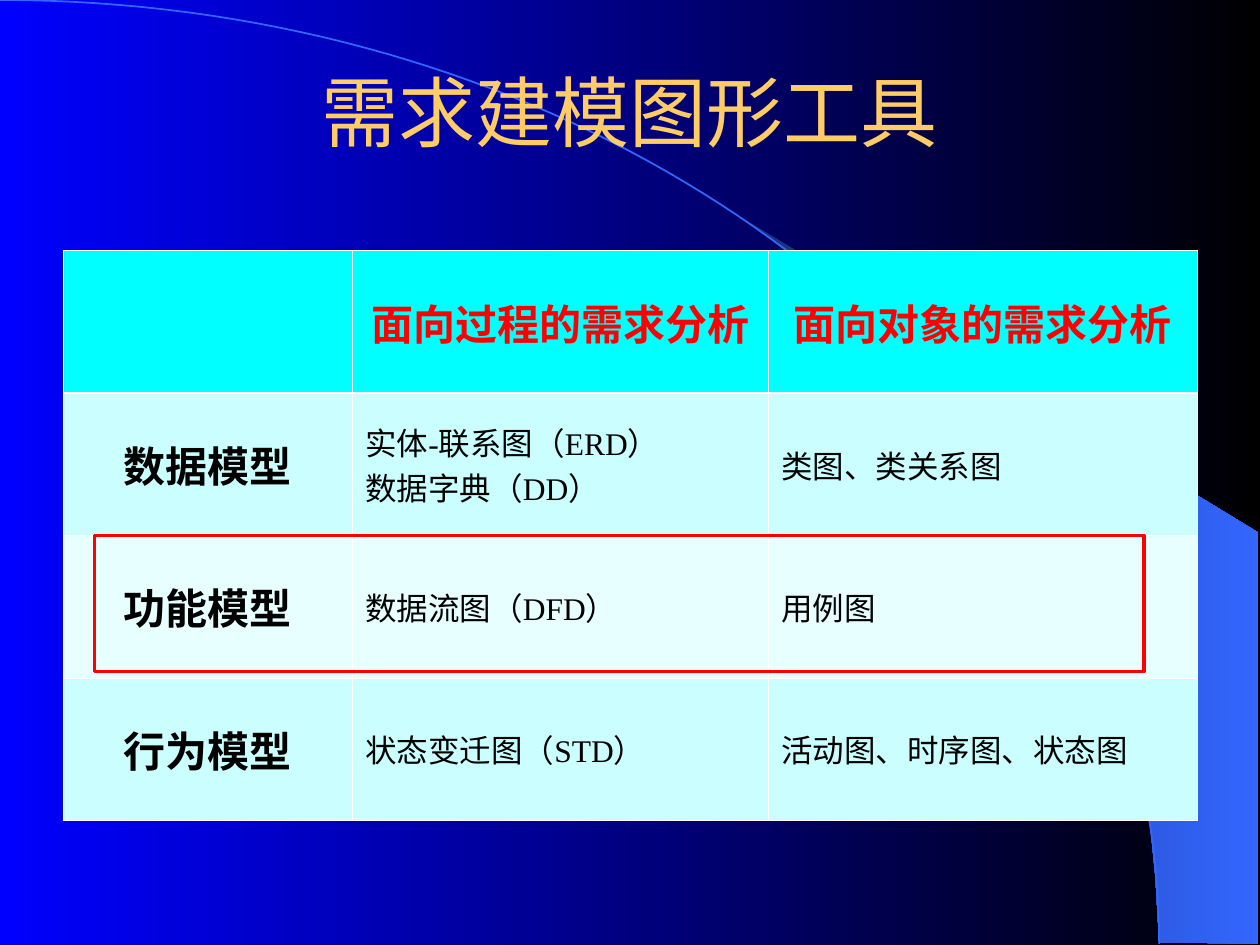
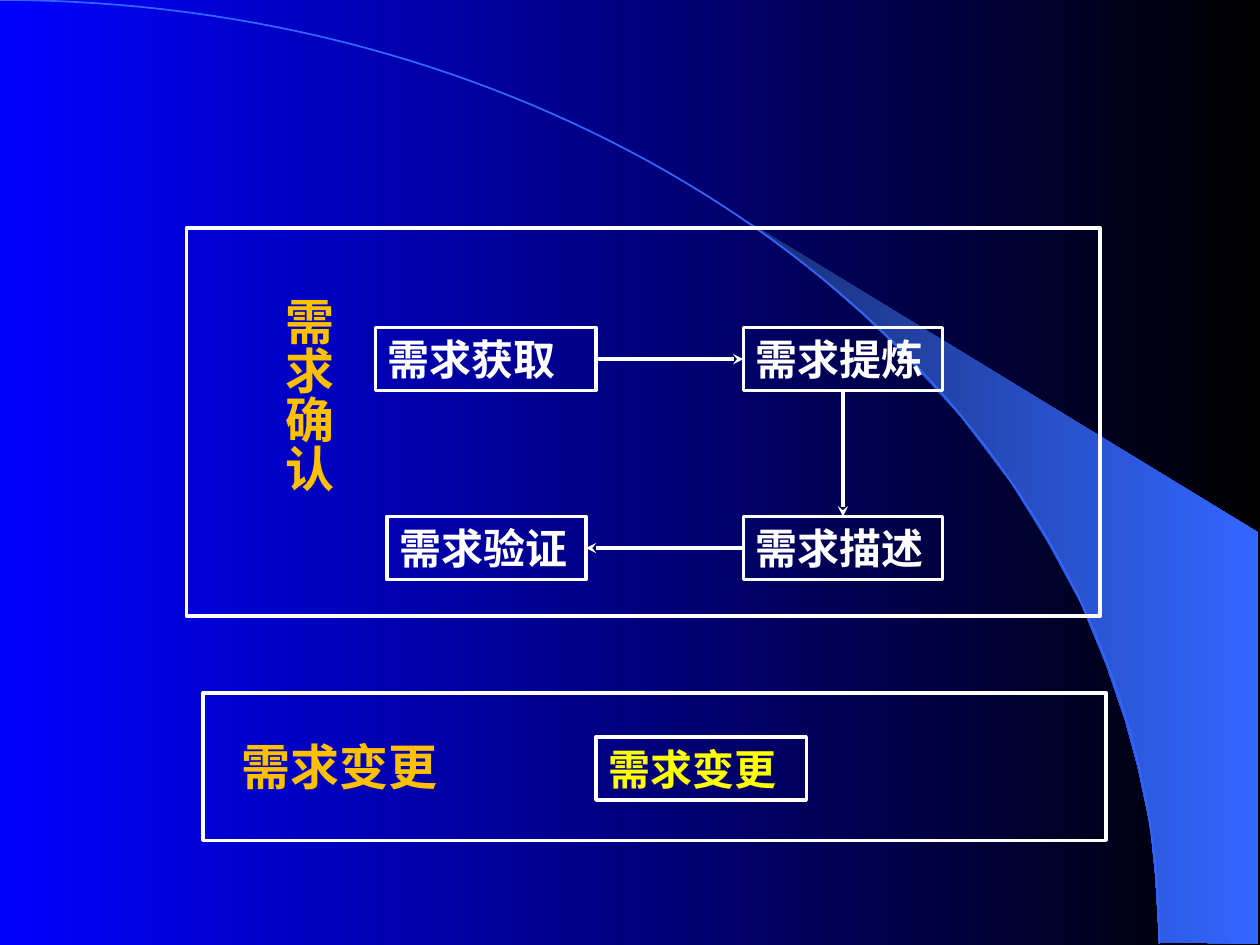
from dataclasses import dataclass

from lxml.etree import SubElement
from pptx import Presentation
from pptx.dml.color import RGBColor
from pptx.enum.shapes import MSO_CONNECTOR, MSO_SHAPE
from pptx.enum.text import MSO_ANCHOR, PP_ALIGN
from pptx.oxml.ns import qn
from pptx.util import Inches, Pt


@dataclass(frozen=True)
class Theme:
    blue: str = "0000FF"
    black: str = "000000"
    white: str = "FFFFFF"
    red: str = "FF0000"
    yellow: str = "FFFF00"
    amber: str = "FFC000"
    title: str = "FFCC66"
    arc: str = "3366FF"
    beam_dark: str = "182F76"
    header: str = "00FFFF"
    band_dark: str = "CBFFFF"
    band_light: str = "E7FFFF"
    title_font: str = "Arial"
    body_font: str = "Times New Roman"
    title_size: int = 44
    label_size: int = 28
    heading_size: int = 24
    cell_size: int = 18
    line_width: int = 2


theme = Theme()
rgb = RGBColor.from_string


def write(frame, text, size, color, bold=True, align=PP_ALIGN.LEFT, name=theme.body_font):
    """Fill a text frame, one paragraph for each line of text."""
    frame.word_wrap = True
    frame.text = text
    for para in frame.paragraphs:
        para.alignment = align
        para.font.name = name
        para.font.size = Pt(size)
        para.font.bold = bold
        para.font.color.rgb = rgb(color)


def add_frame(page, at, color=theme.white):
    """Draw an unfilled rectangle."""
    box = page.shapes.add_shape(MSO_SHAPE.RECTANGLE, *map(Inches, at))
    box.shadow.inherit = False
    box.fill.background()
    box.line.color.rgb = rgb(color)
    box.line.width = Pt(theme.line_width)
    return box


deck = Presentation()
deck.slide_width, deck.slide_height = Inches(10), Inches(7.5)
blank_layout = deck.slide_layouts[6]
tools_page, process_page = [deck.slides.add_slide(blank_layout) for _ in range(2)]

# Shared backdrop: gradient, light beam and arc
beam_points = [
    (9.2, 7.48), (9.99, 7.49), (9.99, 4.23), (5.89, 1.73), (6.24, 1.99), (6.53, 2.22),
    (6.85, 2.5), (7.16, 2.8), (7.62, 3.3), (8.03, 3.84), (8.32, 4.31), (8.58, 4.79),
    (8.78, 5.28), (8.93, 5.72), (9.03, 6.09), (9.13, 6.56), (9.17, 6.96),
]
arc_steps = 80
arc_points = []
for step in range(arc_steps + 1):
    t = step / arc_steps
    u = 1 - t
    # Cubic curve from (0, 0) to (9.2, 7.49)
    arc_points.append((
        3 * u * u * t * 5.08 + 3 * u * t * t * 9.2 + t ** 3 * 9.2,
        3 * u * t * t * 3.35 + t ** 3 * 7.49,
    ))

for page in deck.slides:
    outlines = []
    for points, closed in ((beam_points, True), (arc_points, False)):
        corners = [(Inches(x), Inches(y)) for x, y in points]
        builder = page.shapes.build_freeform(*corners[0], scale=1.0)
        builder.add_line_segments(corners[1:], close=closed)
        outline = builder.convert_to_shape()
        outline.shadow.inherit = False
        outlines.append(outline)
    beam, arc = outlines
    beam.line.fill.background()
    arc.fill.background()
    arc.line.color.rgb = rgb(theme.arc)
    arc.line.width = Pt(1)
    for fill, colors in (
        (page.background.fill, (theme.blue, theme.black)),
        (beam.fill, (theme.beam_dark, theme.arc)),
    ):
        fill.gradient()
        fill.gradient_angle = 0
        for stop, color in zip(fill.gradient_stops, colors):
            stop.color.rgb = rgb(color)

# Slide 1: title
title = tools_page.shapes.add_textbox(Inches(0.5), Inches(0), Inches(9), Inches(1.75))
title.text_frame.vertical_anchor = MSO_ANCHOR.MIDDLE
write(title.text_frame, "需求建模图形工具", theme.title_size, theme.title,
      bold=False, align=PP_ALIGN.CENTER, name=theme.title_font)

# Slide 1: table of modelling tools
tool_rows = [
    ("", "面向过程的需求分析", "面向对象的需求分析"),
    ("数据模型", "实体-联系图（ERD）\n数据字典（DD）", "类图、类关系图"),
    ("功能模型", "数据流图（DFD）", "用例图"),
    ("行为模型", "状态变迁图（STD）", "活动图、时序图、状态图"),
]
row_fills = [theme.header, theme.band_dark, theme.band_light, theme.band_dark]
table = tools_page.shapes.add_table(
    4, 3, Inches(0.5), Inches(1.99), Inches(9), Inches(4.52)).table
for column, width in zip(table.columns, (2.3, 3.3, 3.4)):
    column.width = Inches(width)

for row_index, texts in enumerate(tool_rows):
    table.rows[row_index].height = Inches(1.13)
    for column_index, text in enumerate(texts):
        cell = table.cell(row_index, column_index)
        cell.vertical_anchor = MSO_ANCHOR.MIDDLE
        is_heading = row_index == 0 or column_index == 0
        write(
            cell.text_frame, text,
            theme.heading_size if is_heading else theme.cell_size,
            theme.black if row_index else theme.red,
            bold=is_heading,
            align=PP_ALIGN.CENTER if is_heading else PP_ALIGN.LEFT,
        )
        # White borders, thicker under the header
        properties = cell._tc.get_or_add_tcPr()
        for side in ("L", "R", "T", "B"):
            thick = (row_index, side) in ((0, "B"), (1, "T"))
            border = SubElement(properties, qn(f"a:ln{side}"),
                                w=str(Pt(1.47 if thick else 0.45)))
            border_fill = SubElement(border, qn("a:solidFill"))
            SubElement(border_fill, qn("a:srgbClr"), val=theme.white)
        cell.fill.solid()
        cell.fill.fore_color.rgb = rgb(row_fills[row_index])

# Slide 1: highlight around the functional model row
add_frame(tools_page, (0.75, 4.25, 8.33, 1.08), theme.red)

# Slide 2: outer frames for confirmation and change
add_frame(process_page, (1.48, 1.81, 7.25, 3.08))
add_frame(process_page, (1.61, 5.5, 7.17, 1.17))

# Slide 2: activity boxes
activities = {}
for name, left, top, width, text, color in (
    ("elicit", 2.98, 2.6, 1.75, "需求获取", theme.white),
    ("refine", 5.9, 2.6, 1.58, "需求提炼", theme.white),
    ("describe", 5.9, 4.1, 1.58, "需求描述", theme.white),
    ("verify", 3.07, 4.1, 1.58, "需求验证", theme.white),
    ("change", 4.73, 5.85, 1.67, "需求变更", theme.yellow),
):
    box = add_frame(process_page, (left, top, width, 0.5))
    box.text_frame.vertical_anchor = MSO_ANCHOR.TOP
    write(box.text_frame, text, theme.heading_size, color)
    activities[name] = box

# Slide 2: arrows (sides: 0 top, 1 left, 2 bottom, 3 right)
for source, source_side, target, target_side in (
    ("elicit", 3, "refine", 1),
    ("refine", 2, "describe", 0),
    ("describe", 1, "verify", 3),
):
    arrow = process_page.shapes.add_connector(MSO_CONNECTOR.STRAIGHT, 0, 0, 0, 0)
    arrow.begin_connect(activities[source], source_side)
    arrow.end_connect(activities[target], target_side)
    arrow.line.color.rgb = rgb(theme.white)
    arrow.line.width = Pt(theme.line_width)
    SubElement(arrow.line._get_or_add_ln(), qn("a:tailEnd"), type="stealth")
    SubElement(arrow._element.spPr, qn("a:effectLst"))

# Slide 2: vertical and horizontal group labels
confirm_label = process_page.shapes.add_textbox(
    Inches(2.07), Inches(2.26), Inches(0.66), Inches(2.5))
frame = confirm_label.text_frame
frame._txBody.bodyPr.set("vert", "eaVert")
frame.margin_left = frame.margin_right = Inches(0.05)
frame.margin_top = frame.margin_bottom = Inches(0.1)
write(frame, "需求确认", theme.label_size, theme.amber, align=PP_ALIGN.CENTER)

change_label = process_page.shapes.add_textbox(
    Inches(1.82), Inches(5.8), Inches(2.33), Inches(0.57))
write(change_label.text_frame, "需求变更", theme.label_size, theme.amber)

deck.save("out.pptx")
